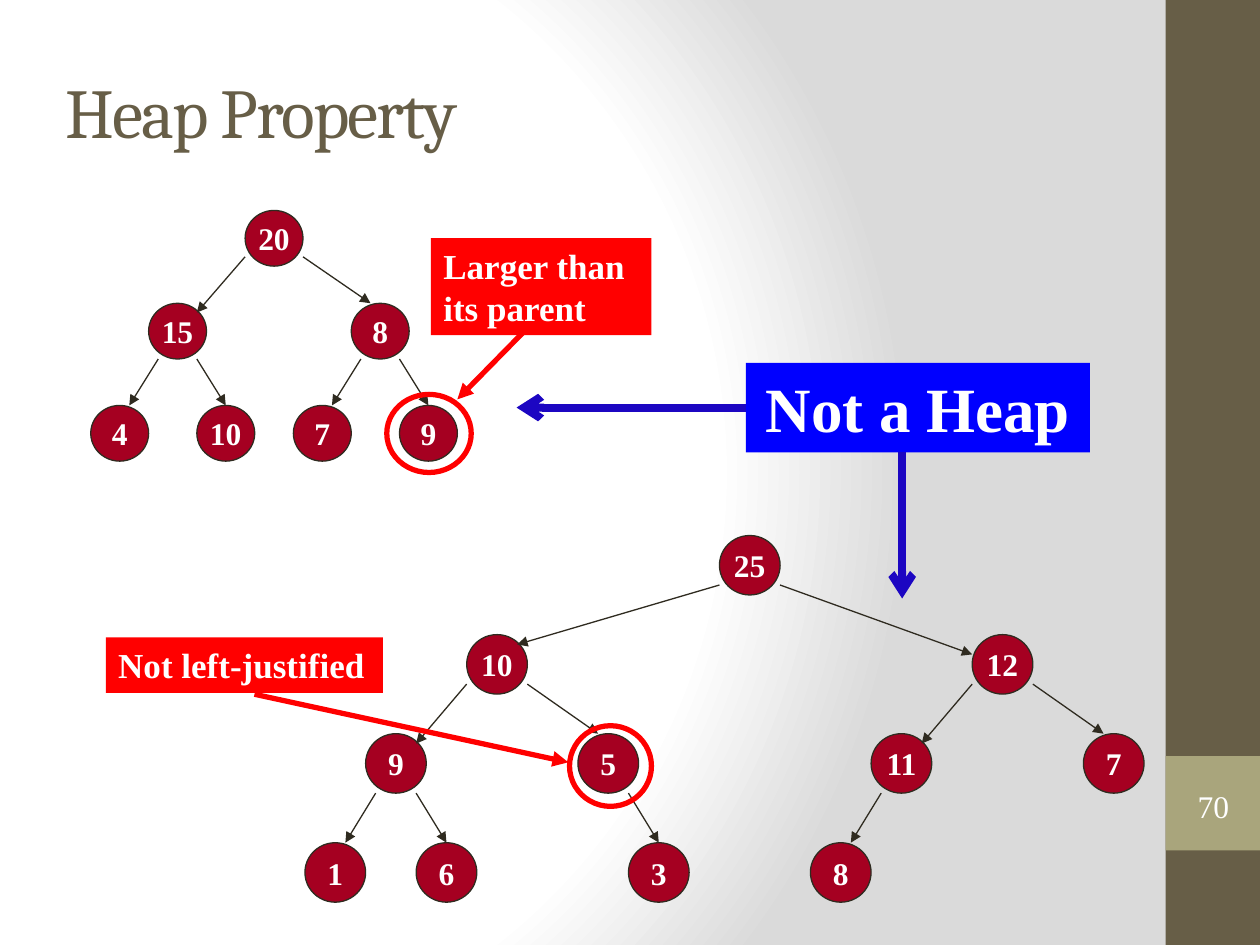
from lxml import etree
from pptx import Presentation
from pptx.dml.color import RGBColor
from pptx.enum.shapes import MSO_CONNECTOR, MSO_SHAPE
from pptx.enum.text import MSO_ANCHOR, PP_ALIGN
from pptx.oxml import parse_xml
from pptx.oxml.ns import nsdecls, qn
from pptx.util import Inches, Pt

RECT, OVAL = MSO_SHAPE.RECTANGLE, MSO_SHAPE.OVAL
STRAIGHT = MSO_CONNECTOR.STRAIGHT
TOP, MIDDLE = MSO_ANCHOR.TOP, MSO_ANCHOR.MIDDLE
LEFT, CENTER = PP_ALIGN.LEFT, PP_ALIGN.CENTER

COLORS = {"brown": "675E47", "olive": "A9A57C", "white": "FFFFFF",
          "gray": "DADADA", "node": "A50021", "ink": "2F2B20",
          "red": "FF0000", "blue": "0000FF", "arrow": "1C06C2"}
SERIF = "Times New Roman"
NODE = 6  # node width and height in grid units

# Nodes by heap index (parent = index // 2): label, column, row
SMALL_TREE = {1: ("20", 16, 0), 2: ("15", 6, 10), 3: ("8", 27, 10),
              4: ("4", 0, 21), 5: ("10", 11, 21),
              6: ("7", 21, 21), 7: ("9", 32, 21)}
LARGE_TREE = {1: ("25", 41, 0), 2: ("10", 16, 10), 3: ("12", 66, 10),
              4: ("9", 6, 20), 5: ("5", 27, 20),
              6: ("11", 56, 20), 7: ("7", 77, 20),
              8: ("1", 0, 31), 9: ("6", 11, 31),
              11: ("3", 32, 31), 12: ("8", 50, 31)}


def rgb(name):
    return RGBColor.from_string(COLORS[name])


def set_background(slide):
    stops = "".join(
        f'<a:gs pos="{pos}"><a:srgbClr val="{COLORS[name]}"/></a:gs>'
        for pos, name in ((0, "white"), (75000, "white"), (100000, "gray")))
    bg = parse_xml(
        f'<p:bg {nsdecls("p", "a")}><p:bgPr><a:gradFill rotWithShape="1">'
        f'<a:gsLst>{stops}</a:gsLst><a:path path="circle">'
        '<a:fillToRect l="20000" t="50000" r="100000" b="50000"/></a:path>'
        '</a:gradFill><a:effectLst/></p:bgPr></p:bg>')
    slide.element.cSld.insert(0, bg)


def write(s, text, size, color="white", font=SERIF, bold=True,
          align=CENTER, anchor=MIDDLE, wrap=True):
    tf = s.text_frame
    tf.text = text
    tf.word_wrap, tf.vertical_anchor = wrap, anchor
    p = tf.paragraphs[0]
    p.alignment = align
    f = p.runs[0].font
    f.name, f.size, f.bold = font, Pt(size), bold
    f.color.rgb = rgb(color)


def add_shape(shapes, kind, box, fill=None, line=None, width=0.75):
    s = shapes.add_shape(kind, *map(Inches, box))
    s.shadow.inherit = False
    if fill:
        s.fill.solid()
        s.fill.fore_color.rgb = rgb(fill)
    else:
        s.fill.background()
    if line:
        s.line.color.rgb = rgb(line)
        s.line.width = Pt(width)
    else:
        s.line.fill.background()
    return s


def add_arrow(shapes, start, end, color="ink", width=0.75, head="triangle"):
    c = shapes.add_connector(STRAIGHT, *map(Inches, (*start, *end)))
    c.line.color.rgb = rgb(color)
    c.line.width = Pt(width)
    etree.SubElement(c.line._get_or_add_ln(), qn("a:tailEnd"), type=head)
    etree.SubElement(c._element.spPr, qn("a:effectLst"))
    return c


def edge_offsets(is_left, drop, run):
    """Grid offsets of an edge's ends from the parent's and child's corners."""
    if drop > 10:  # steep edge down to a leaf
        return ((1, 6), (4, 0)) if is_left else ((5, 6), (3, 0))
    if is_left:
        return (0, 5), (5, 1)
    return (6, 5), ((0, 2) if run > 20 else (2, 0))


def add_tree(slide, nodes, box):
    left, top, width, height = box
    ux = width / (max(col for _, col, _ in nodes.values()) + NODE)
    uy = height / (max(row for _, _, row in nodes.values()) + NODE)
    shapes = slide.shapes.add_group_shape().shapes

    def place(col, row):
        return left + col * ux, top + row * uy

    for index, (label, col, row) in nodes.items():
        s = add_shape(shapes, OVAL, (*place(col, row), NODE * ux, NODE * uy),
                      "node", "ink")
        write(s, label, 18, wrap=False)
        if index > 1:
            _, pcol, prow = nodes[index // 2]
            (ax, ay), (bx, by) = edge_offsets(index % 2 == 0, row - prow,
                                              col - pcol)
            add_arrow(shapes, place(pcol + ax, prow + ay),
                      place(col + bx, row + by))


def add_callout(slide, text, box, ring, start, end):
    shapes = slide.shapes.add_group_shape().shapes
    add_shape(shapes, OVAL, ring, line="red", width=3)
    s = add_shape(shapes, RECT, box, "red")
    write(s, text, 20, align=LEFT, anchor=TOP)
    add_arrow(shapes, start, end, "red", 3)


def add_verdict(slide, text, box):
    left, top, width, height = box
    s = add_shape(slide.shapes, RECT, box, "blue")
    write(s, text, 36, anchor=TOP)
    middle = top + height / 2
    c = add_arrow(slide.shapes, (left, middle), (4.1, middle),
                  "arrow", 4.5, "arrow")
    c.begin_connect(s, 1)
    add_arrow(slide.shapes, (7.16, top + height), (7.16, 4.75),
              "arrow", 4.5, "arrow")


def add_title(slide, text):
    title = slide.shapes.title
    title.left, title.top, title.width, title.height = map(
        Inches, (0.42, 0.25, 8.33, 1.25))
    write(title, text, 40, "brown", "Cambria", False, LEFT)
    title.text_frame.paragraphs[0].runs[0].font._element.set("spc", "-100")


def add_sidebar(slide, number):
    add_shape(slide.shapes, RECT, (9.25, 0, 0.75, 7.5), "brown")
    add_shape(slide.shapes, RECT, (9.25, 6, 0.75, 0.75), "olive")
    s = slide.shapes.add_textbox(*map(Inches, (9.33, 6.18, 0.6, 0.43)))
    tf = s.text_frame
    tf.margin_left = tf.margin_right = tf.margin_top = tf.margin_bottom = 0
    write(s, number, 18, bold=False)


def main():
    prs = Presentation()
    prs.slide_width, prs.slide_height = Inches(10), Inches(7.5)
    slide = prs.slides.add_slide(prs.slide_layouts[5])

    # Frame of the slide
    set_background(slide)
    add_sidebar(slide, "70")
    add_title(slide, "Heap Property")

    # Two trees, each with the node that breaks the rule
    add_tree(slide, SMALL_TREE, (0.72, 1.67, 2.91, 1.99))
    add_callout(slide, "Larger than its parent", (3.42, 1.89, 1.75, 0.77),
                (3.07, 3.13, 0.67, 0.62), (4.16, 2.63), (3.63, 3.17))
    add_tree(slide, LARGE_TREE, (2.42, 4.25, 6.66, 2.91))
    add_callout(slide, "Not left-justified", (0.84, 5.06, 2.2, 0.44),
                (4.52, 5.76, 0.65, 0.64), (2.02, 5.51), (4.51, 6.05))

    # Verdict on both trees
    add_verdict(slide, "Not a Heap", (5.92, 2.88, 2.73, 0.71))
    prs.save("out.pptx")


if __name__ == "__main__":
    main()
